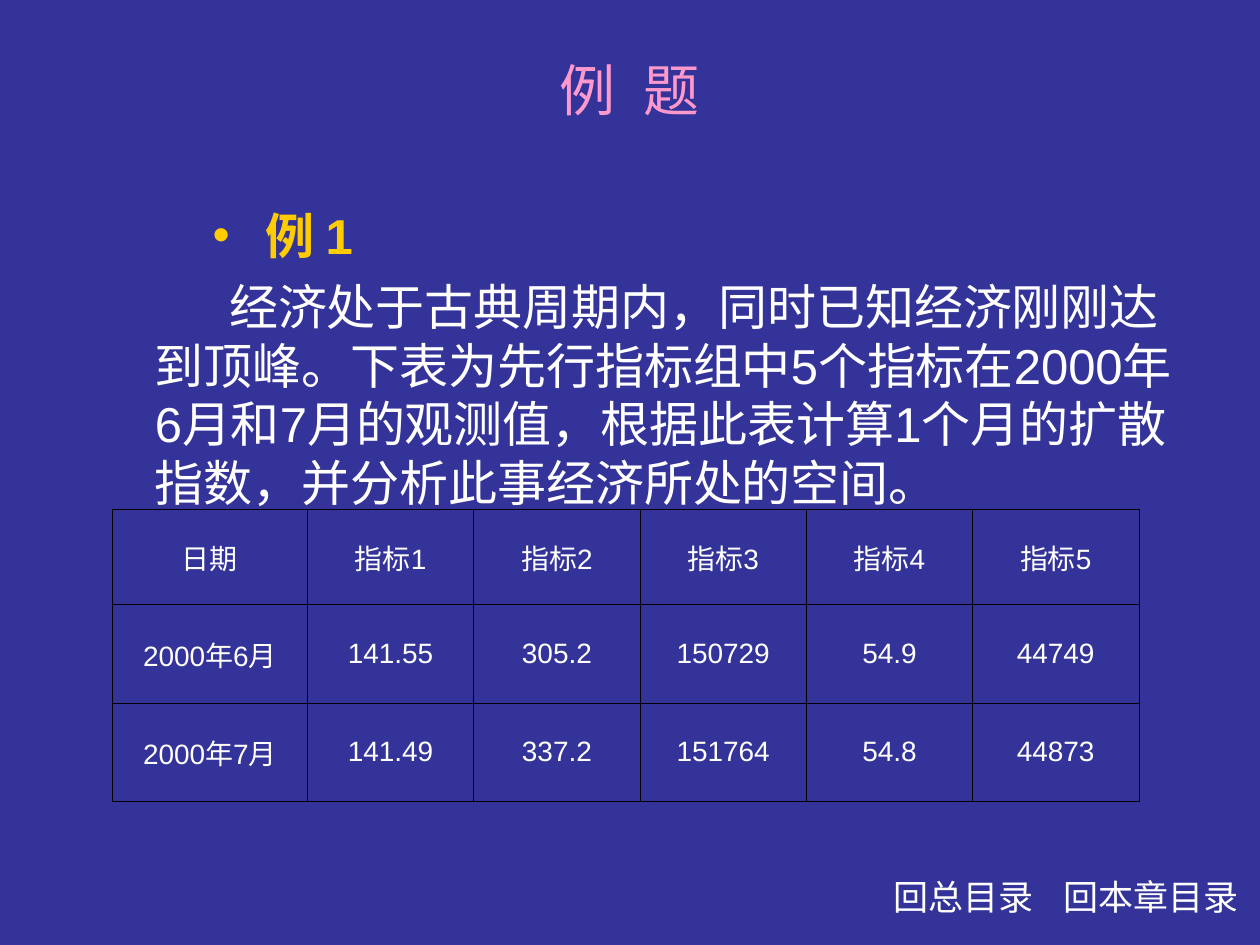
from pptx import Presentation
from pptx.dml.color import RGBColor
from pptx.enum.text import MSO_ANCHOR, PP_ALIGN
from pptx.oxml.ns import qn
from pptx.util import Inches, Pt
from lxml.etree import SubElement

COLORS = {
    "background": "333399",
    "title": "FF99CC",
    "example": "FFCC00",
    "text": "FFFFFF",
    "border": "000000",
}
FONT = "Arial"
BORDER_WIDTH = Pt(0.45)

HEADERS = ["日期"] + [f"指标{number}" for number in range(1, 6)]
OBSERVATIONS = [
    ["2000年6月", "141.55", "305.2", "150729", "54.9", "44749"],
    ["2000年7月", "141.49", "337.2", "151764", "54.8", "44873"],
]
QUESTION = (
    "经济处于古典周期内，同时已知经济刚刚达到顶峰。"
    "下表为先行指标组中5个指标在2000年6月和7月的观测值，"
    "根据此表计算1个月的扩散指数，并分析此事经济所处的空间。"
)


class SlideBuilder:
    def __init__(self, presentation):
        self.slide = presentation.slides.add_slide(presentation.slide_layouts[6])
        fill = self.slide.background.fill
        fill.solid()
        fill.fore_color.rgb = RGBColor.from_string(COLORS["background"])

    def text_frame(self, left, top, width, height, side_inset=0.1,
                   anchor=MSO_ANCHOR.TOP):
        box = self.slide.shapes.add_textbox(
            Inches(left), Inches(top), Inches(width), Inches(height))
        frame = box.text_frame
        frame.word_wrap = True
        frame.vertical_anchor = anchor
        frame.margin_left = frame.margin_right = Inches(side_inset)
        return frame

    def run(self, paragraph, text, size, color="text", bold=False):
        run = paragraph.add_run()
        run.text = text
        run.font.name = FONT
        run.font.size = Pt(size)
        run.font.bold = bold
        run.font.color.rgb = RGBColor.from_string(COLORS[color])
        return run

    def indent(self, paragraph, margin, first_line):
        properties = paragraph._p.get_or_add_pPr()
        properties.set("marL", str(Inches(margin)))
        properties.set("indent", str(Inches(first_line)))
        return properties

    def title(self, text):
        frame = self.text_frame(0.75, 0.08, 8.5, 1.25, anchor=MSO_ANCHOR.MIDDLE)
        paragraph = frame.paragraphs[0]
        paragraph.alignment = PP_ALIGN.CENTER
        run = self.run(paragraph, text, 32, "title")
        run.font._element.set("spc", "450")

    def example(self, heading, question):
        frame = self.text_frame(0.75, 1.58, 8.82, 4.5)
        heading_line = frame.paragraphs[0]
        properties = self.indent(heading_line, 1.26, -0.42)
        SubElement(properties, qn("a:buFont"), typeface=FONT)
        SubElement(properties, qn("a:buChar"), char="•")
        self.run(heading_line, heading, 28, "example", bold=True)

        question_text = frame.add_paragraph()
        self.indent(question_text, 0.38, 0.59)
        question_text.space_before = Pt(7)
        self.run(question_text, question, 28)

    def cell_border(self, cell):
        properties = cell._tc.get_or_add_tcPr()
        for side in ("lnL", "lnR", "lnT", "lnB"):
            line = SubElement(properties, qn(f"a:{side}"), w=str(BORDER_WIDTH))
            fill = SubElement(line, qn("a:solidFill"))
            SubElement(fill, qn("a:srgbClr"), val=COLORS["border"])

    def table(self, rows, left, top, column_widths, row_heights):
        table = self.slide.shapes.add_table(
            len(rows), len(column_widths), Inches(left), Inches(top),
            Inches(sum(column_widths)), Inches(sum(row_heights))).table
        table.first_row = table.horz_banding = False
        for column, width in zip(table.columns, column_widths):
            column.width = Inches(width)
        for row, height, values in zip(table.rows, row_heights, rows):
            row.height = Inches(height)
            for cell, value in zip(row.cells, values):
                cell.vertical_anchor = MSO_ANCHOR.MIDDLE
                self.cell_border(cell)
                cell.fill.background()
                paragraph = cell.text_frame.paragraphs[0]
                paragraph.alignment = PP_ALIGN.CENTER
                self.run(paragraph, value, 16)

    def navigation(self, text, left, width, alignment):
        frame = self.text_frame(left, 6.94, width, 0.4, side_inset=0)
        paragraph = frame.paragraphs[0]
        paragraph.alignment = alignment
        paragraph.line_spacing = 0.9
        self.run(paragraph, text, 20)


def main():
    presentation = Presentation()
    presentation.slide_width = Inches(10)
    presentation.slide_height = Inches(7.5)

    builder = SlideBuilder(presentation)
    builder.title("例 题")
    builder.example("例 1", QUESTION)
    builder.table([HEADERS] + OBSERVATIONS, 0.89, 4.04,
                  [1.55] + [1.32] * 5, [0.76, 0.78, 0.78])
    builder.navigation("回总目录", 6.94, 1.42, PP_ALIGN.CENTER)
    builder.navigation("回本章目录", 8.44, 1.46, PP_ALIGN.LEFT)
    presentation.save("out.pptx")


if __name__ == "__main__":
    main()
